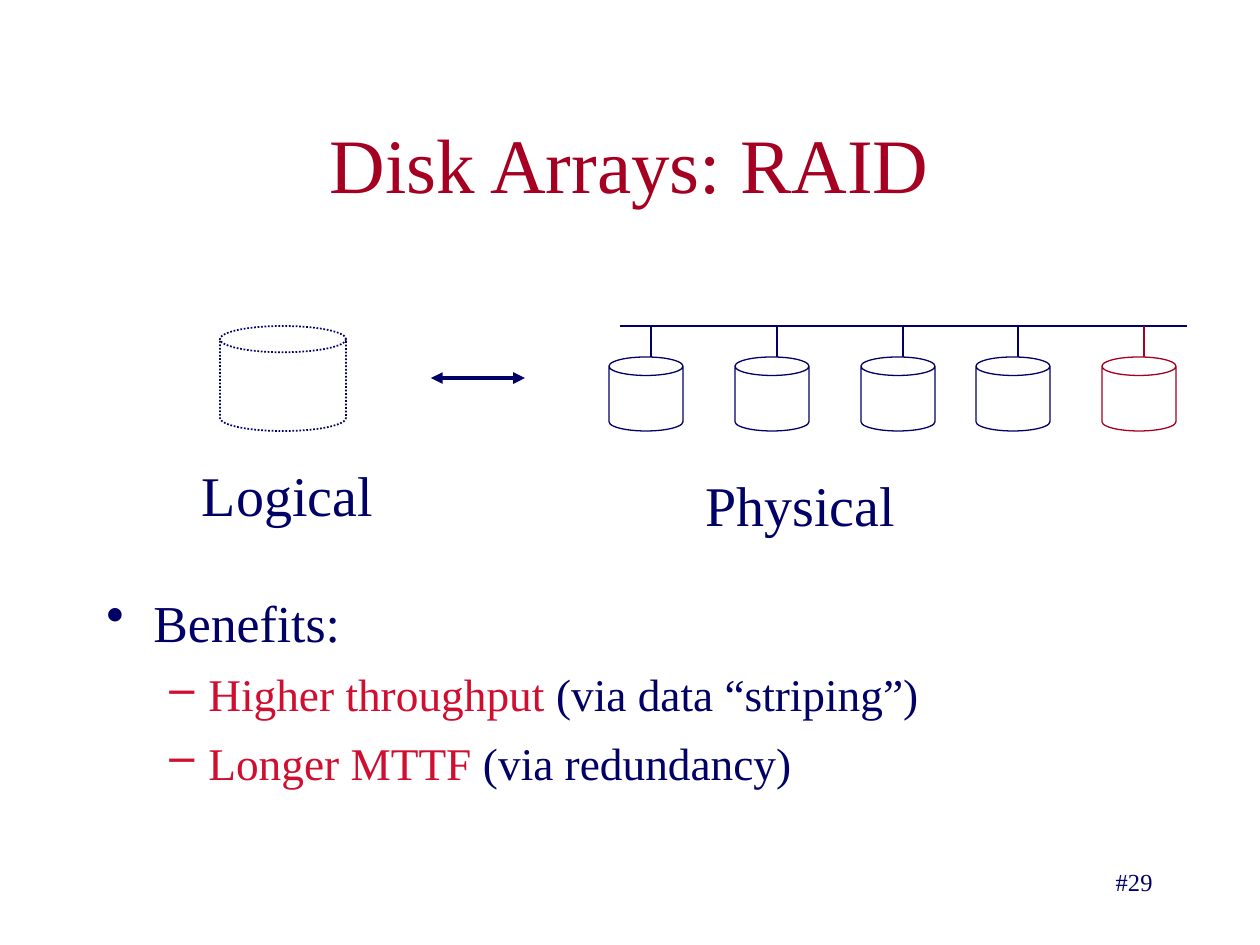
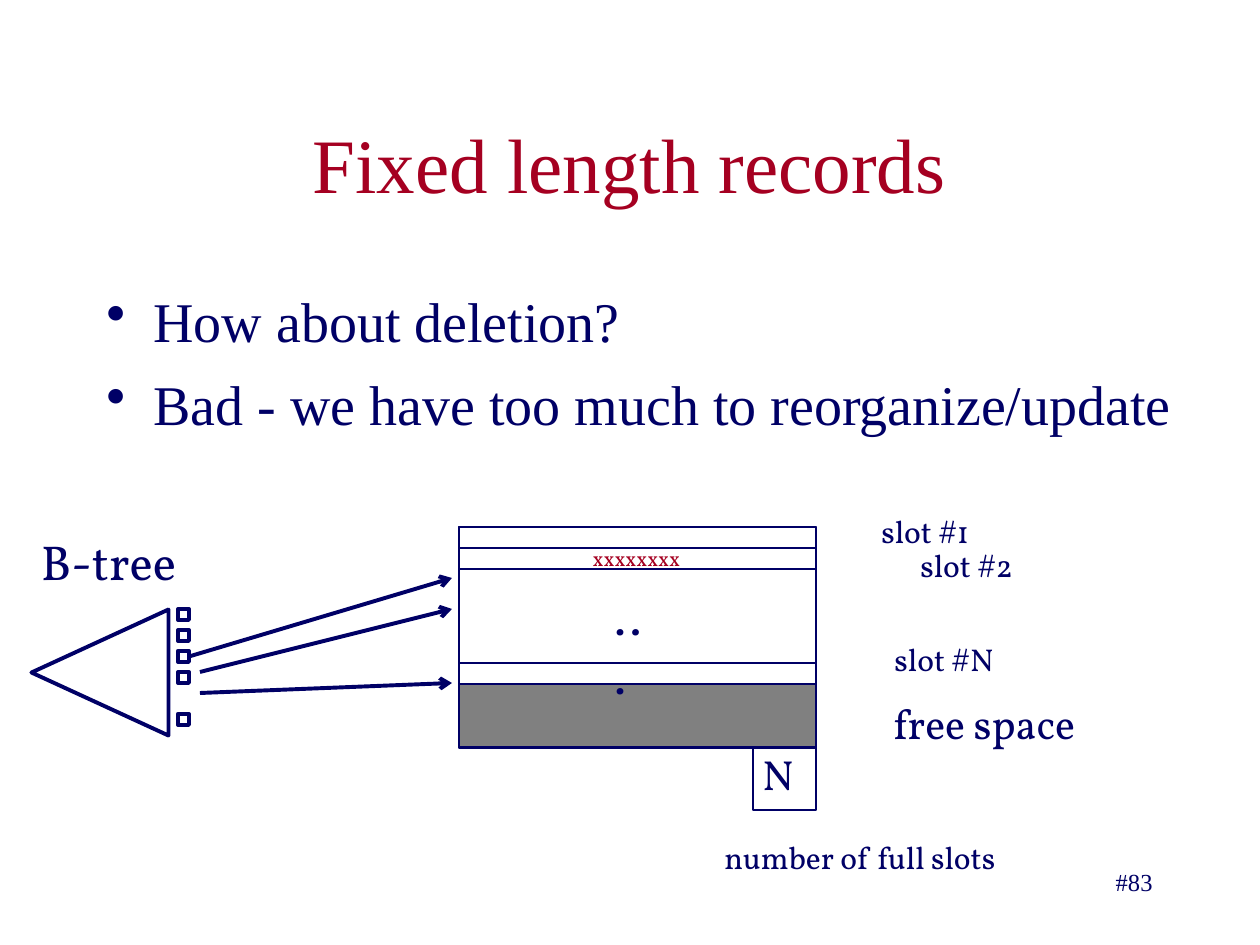
"""Builds two database slides: disk arrays and fixed length records."""
from lxml.etree import SubElement
from pptx import Presentation
from pptx.dml.color import RGBColor
from pptx.enum.dml import MSO_LINE
from pptx.enum.shapes import MSO_CONNECTOR, MSO_SHAPE
from pptx.enum.text import MSO_ANCHOR, MSO_AUTO_SIZE, PP_ALIGN
from pptx.oxml.ns import qn
from pptx.util import Emu, Pt

PX = 914400 / 126
NAVY, MAROON, RED = "000066", "A50021", "CF0E30"
WHITE, GRAY = "FFFFFF", "808080"
SERIF, BOOK = "Times New Roman", "Vollkorn"
LABEL = {"word_wrap": False, "auto_size": MSO_AUTO_SIZE.SHAPE_TO_FIT_TEXT}
BLOCK = {"word_wrap": True, "vertical_anchor": MSO_ANCHOR.TOP}
MIDDLE = {"vertical_anchor": MSO_ANCHOR.MIDDLE}
colour = RGBColor.from_string


def write(page, at, lines, frame_format, size, font=SERIF, align=PP_ALIGN.LEFT):
    """Add a text box; each line is (bullet settings, spans of text and colour)."""
    box = page.shapes.add_textbox(*(Emu(round(n * PX)) for n in at))
    frame = box.text_frame
    for name, value in frame_format.items():
        setattr(frame, name, value)
    for index, (bullet, spans) in enumerate(lines):
        para = frame.paragraphs[0] if index == 0 else frame.add_paragraph()
        para.alignment = align
        if bullet:
            properties = para._p.get_or_add_pPr()
            properties.set("marL", str(round(bullet["margin"] * PX)))
            properties.set("indent", str(-round(bullet["hang"] * PX)))
            tint = SubElement(properties, qn("a:buClr"))
            SubElement(tint, qn("a:srgbClr"), val=bullet["tint"])
            SubElement(properties, qn("a:buChar"), char=bullet["mark"])
            if index:
                para.space_before = Pt(bullet["gap"])
        for text, tone in spans:
            span = para.add_run()
            span.text = text
            points = bullet["size"] if bullet else size
            for name, value in {"name": font, "size": Pt(points)}.items():
                setattr(span.font, name, value)
            span.font.color.rgb = colour(tone)


def draw(page, kind, at, width, tone=NAVY, fill=None, ends=()):
    """Add a line (kind None, at holds both end points) or a preset shape."""
    place = [Emu(round(n * PX)) for n in at]
    if kind is None:
        item = page.shapes.add_connector(MSO_CONNECTOR.STRAIGHT, *place)
    else:
        item = page.shapes.add_shape(kind, *place)
        if fill:
            item.fill.solid()
            item.fill.fore_color.rgb = colour(fill)
        else:
            item.fill.background()
    item.line.color.rgb = colour(tone)
    item.line.width = Pt(width)
    for tag, head in ends:
        SubElement(item.element.spPr.find(qn("a:ln")), qn(tag), type=head)
    SubElement(item.element.spPr, qn("a:effectLst"))
    return item


deck = Presentation()
deck.slide_width, deck.slide_height = Emu(round(1260 * PX)), Emu(round(945 * PX))

topic = {"mark": "•", "margin": 47, "hang": 47, "tint": NAVY, "gap": 9, "size": 32}
heading = {**topic, "size": 29.6}
benefit = {"mark": "–", "margin": 102, "hang": 39, "tint": RED, "gap": 8, "size": 25.9}
outlines = [
    ("Disk Arrays: RAID", "#29", (94, 584, 1071, 210), [
        (heading, [("Benefits:", NAVY)]),
        (benefit, [("Higher throughput", RED), (" (via data “striping”)", NAVY)]),
        (benefit, [("Longer MTTF", RED), (" (via redundancy)", NAVY)]),
    ]),
    ("Fixed length records", "#83", (94, 280, 1124, 200), [
        (topic, [("How about deletion?", NAVY)]),
        (topic, [("Bad - we have too much to reorganize/update", NAVY)]),
    ]),
]
pages = []
for title, number, body_at, lines in outlines:
    page = deck.slides.add_slide(deck.slide_layouts[6])
    page.background.fill.solid()
    page.background.fill.fore_color.rgb = colour(WHITE)
    write(page, (94, 84, 1071, 158), [(None, [(title, MAROON)])],
          {**BLOCK, **MIDDLE}, 44, align=PP_ALIGN.CENTER)
    write(page, body_at, lines, BLOCK, 32)
    write(page, (903, 861, 262, 63), [(None, [(number, NAVY)])],
          BLOCK, 14, align=PP_ALIGN.RIGHT)
    pages.append(page)
raid, records = pages

logical_disk = draw(raid, MSO_SHAPE.CAN, (220, 326, 126, 105), 1, fill=WHITE)
logical_disk.line.dash_style = MSO_LINE.ROUND_DOT
draw(raid, None, (431, 378, 525, 378), 2.25,
     ends=[("a:headEnd", "triangle"), ("a:tailEnd", "triangle")])
draw(raid, None, (620, 326, 1187, 326), 0.75)
disks = [(609, NAVY), (735, NAVY), (861, NAVY), (976, NAVY), (1102, MAROON)]
for left, tone in disks:
    draw(raid, MSO_SHAPE.CAN, (left, 357, 74, 74), 0.75, tone, WHITE)
    draw(raid, None, (left + 42, 326, left + 42, 357), 0.75, tone)
for name, at in [("Logical", (189, 454, 197, 81)), ("Physical", (693, 464, 215, 81))]:
    write(raid, at, [(None, [(name, NAVY)])], {**LABEL, **MIDDLE}, 32,
          align=PP_ALIGN.CENTER)

block_left, block_width, slot_height = 459, 357, 21
draw(records, MSO_SHAPE.RECTANGLE, (block_left, 527, block_width, 221), 1)
for top in (527, 548, 663):
    draw(records, MSO_SHAPE.RECTANGLE, (block_left, top, block_width, slot_height), 1)
draw(records, MSO_SHAPE.RECTANGLE, (block_left, 684, block_width, 63), 1, fill=GRAY)
draw(records, MSO_SHAPE.RECTANGLE, (753, 747, 63, 63), 1)

tree = draw(records, MSO_SHAPE.ISOSCELES_TRIANGLE, (37, 604, 126, 137), 2.25)
tree.rotation = 270
pointers = [draw(records, MSO_SHAPE.RECTANGLE, (178, top, 11, 11), 2.25)
            for top in (609, 630, 651, 672, 714)]
arrows = [draw(records, None, at, 2.25, ends=[("a:tailEnd", "arrow")])
          for at in [(189, 656, 452, 578), (200, 672, 452, 609), (200, 693, 452, 683)]]
arrows[0].begin_connect(pointers[2], 3)

labels = [
    ("slot #1", (869, 506, 125, 50), 18, NAVY, PP_ALIGN.LEFT),
    ("slot #2", (908, 540, 125, 50), 18, NAVY, PP_ALIGN.LEFT),
    ("slot #N", (882, 634, 131, 50), 18, NAVY, PP_ALIGN.LEFT),
    ("free space", (881, 691, 228, 63), 24, NAVY, PP_ALIGN.LEFT),
    ("...", (602, 580, 64, 72), 28, NAVY, PP_ALIGN.LEFT),
    ("N", (750, 742, 57, 63), 24, NAVY, PP_ALIGN.LEFT),
    ("number of full slots", (712, 832, 314, 50), 18, NAVY, PP_ALIGN.LEFT),
    ("xxxxxxxx", (580, 539, 113, 38), 12, MAROON, PP_ALIGN.CENTER),
    ("B-tree", (26, 525, 165, 72), 28, NAVY, PP_ALIGN.CENTER),
]
for text, at, size, tone, align in labels:
    write(records, at, [(None, [(text, tone)])], LABEL, size, BOOK, align)

deck.save("out.pptx")
